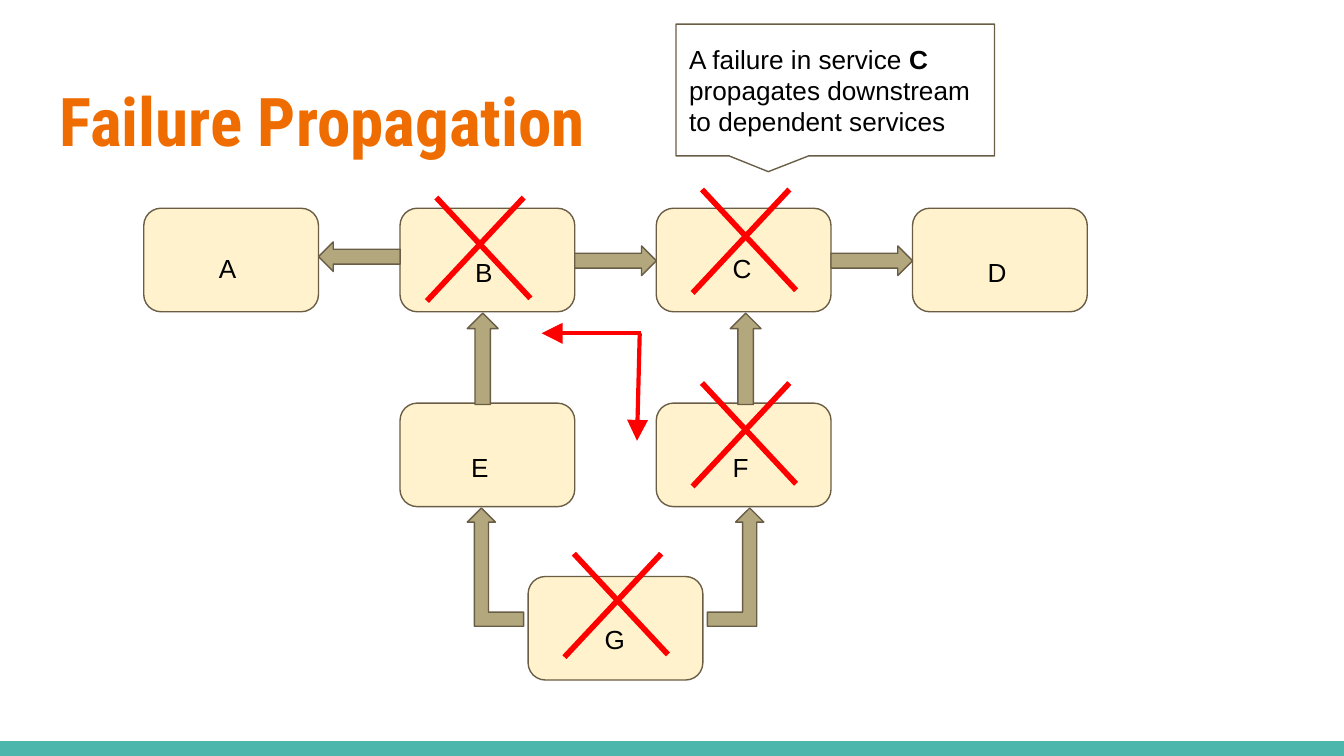
from dataclasses import dataclass

from lxml import etree
from pptx import Presentation
from pptx import util as u
from pptx.dml.color import RGBColor
from pptx.enum import shapes, text
from pptx.oxml import ns

KIND = shapes.MSO_SHAPE


@dataclass(frozen=True)
class Theme:
    title: str = "EF6C00"
    bar: str = "4DB6AC"
    box: str = "FFF2CC"
    arrow: str = "B3A77D"
    edge: str = "695D46"
    fail: str = "FF0000"
    ink: str = "000000"
    head: str = "Roboto Condensed"
    body: str = "Arial"
    big: int = 36
    small: int = 14
    thin: float = 0.75
    mid: float = 2.25
    thick: float = 3


T = Theme()
WIDE = 10
HIGH = WIDE * 9 / 16
BOX_W, BOX_H = 1.3, 0.77
LEFT, RIGHT = 1.07, 6.79
STEP = (RIGHT - LEFT) / 3
GAP = STEP - BOX_W
ROWS = (1.55, 3, 4.29)
SERVICES = {
    "A": (0, 0, 0.46, 0.23),
    "B": (1, 0, 0.46, 0.26),
    "C": (2, 0, 0.47, 0.23),
    "D": (3, 0, 0.46, 0.26),
    "E": (1, 1, 0.43, 0.26),
    "F": (2, 1, 0.47, 0.26),
    "G": (1.5, 2, 0.47, 0.25),
}
FAILED = {"C": (0.27, -0.14), "F": (0.27, -0.15),
          "G": (0.27, -0.17), "B": (0.2, -0.08)}


def rgb(tone):
    return RGBColor.from_string(tone)


def cell(col, row, dx=0, dy=0):
    return LEFT + col * STEP + dx, ROWS[row] + dy


def inch(*vals):
    return [u.Inches(v) for v in vals]


def add_run(para, words, size, font, tone, bold=False):
    run = para.add_run()
    run.text = words
    run.font.size = u.Pt(size)
    run.font.name = font
    run.font.bold = bold
    run.font.color.rgb = rgb(tone)


def set_frame(frame, anchor):
    frame.word_wrap = True
    frame.auto_size = text.MSO_AUTO_SIZE.NONE
    frame.vertical_anchor = anchor
    frame.margin_left = frame.margin_right = u.Inches(0.1)
    frame.margin_top = frame.margin_bottom = u.Inches(0.1)
    para = frame.paragraphs[0]
    para.alignment = text.PP_ALIGN.LEFT
    return para


def add_form(slide, kind, place, fill=None, edge=T.edge, adj=()):
    form = slide.shapes.add_shape(kind, *inch(*place))
    form.shadow.inherit = False
    if fill:
        form.fill.solid()
        form.fill.fore_color.rgb = rgb(fill)
    else:
        form.fill.background()
    if edge:
        form.line.color.rgb = rgb(edge)
        form.line.width = u.Pt(T.thin)
    else:
        form.line.fill.background()
    for i, value in enumerate(adj):
        form.adjustments[i] = value
    return form


def add_line(slide, start, end, width, arrow=False):
    line = slide.shapes.add_connector(
        shapes.MSO_CONNECTOR.STRAIGHT, *inch(*start, *end))
    line.line.color.rgb = rgb(T.fail)
    line.line.width = u.Pt(width)
    if arrow:
        etree.SubElement(line.line._get_or_add_ln(), ns.qn("a:tailEnd"),
                         type="triangle", w="lg", len="lg")
    etree.SubElement(line._element.spPr, ns.qn("a:effectLst"))


def add_title(slide):
    title = slide.shapes.title
    title.left, title.top, title.width, title.height = inch(
        0.34, 0.49, WIDE - 0.68, 0.77)
    para = set_frame(title.text_frame, text.MSO_ANCHOR.TOP)
    add_run(para, "Failure Propagation", T.big, T.head, T.title, True)


def add_flow(slide):
    for col, dx in ((2, 0.38), (1, 0.5)):
        bent = add_form(slide, KIND.BENT_UP_ARROW,
                        (*cell(col, 1, dx, BOX_H + 0.01), 0.42, 0.88), T.arrow)
        if col == 1:
            bent._element.spPr.xfrm.set("flipH", "1")
    for col, kind, dy in ((0, KIND.LEFT_ARROW, 0.25),
                          (1, KIND.RIGHT_ARROW, 0.28),
                          (2, KIND.RIGHT_ARROW, 0.28)):
        add_form(slide, kind, (*cell(col, 0, BOX_W, dy), GAP, 0.22), T.arrow)
    for col, dx in ((1, 0.5), (2, 0.55)):
        add_form(slide, KIND.UP_ARROW,
                 (*cell(col, 0, dx, BOX_H + 0.01), 0.23, 0.68), T.arrow)


def add_label(slide, name, place):
    label = slide.shapes.add_textbox(*inch(*place, 0.37, 0.26))
    para = set_frame(label.text_frame, text.MSO_ANCHOR.TOP)
    add_run(para, name, T.small, T.body, T.ink)


def add_cross(slide, x, y):
    add_line(slide, (x, y + 0.77), (x + 0.72, y), T.thick)
    add_line(slide, (x + 0.07, y), (x + 0.77, y + 0.75), T.thick)


def add_note(slide):
    note = add_form(slide, KIND.RECTANGULAR_CALLOUT, (5.03, 0.18, 2.37, 0.98),
                    adj=(-0.21, 0.62))
    para = set_frame(note.text_frame, text.MSO_ANCHOR.MIDDLE)
    for words, bold in (("A failure in service ", False), ("C", True),
                        (" propagates downstream to dependent services", False)):
        add_run(para, words, T.small, T.body, T.ink, bold)


def main():
    deck = Presentation()
    deck.slide_width, deck.slide_height = inch(WIDE, HIGH)
    slide = deck.slides.add_slide(deck.slide_layouts[5])
    add_title(slide)
    add_form(slide, KIND.RECTANGLE, (0, HIGH - 0.11, WIDE, 0.11), T.bar, None)
    for col, row, _, _ in SERVICES.values():
        add_form(slide, KIND.ROUNDED_RECTANGLE,
                 (*cell(col, row), BOX_W, BOX_H), T.box, adj=(1 / 6,))
    add_flow(slide)
    for name, spot in SERVICES.items():
        add_label(slide, name, cell(*spot))
    for name, shift in FAILED.items():
        add_cross(slide, *cell(*SERVICES[name][:2], *shift))
    add_note(slide)
    add_line(slide, (4.76, 2.48), (4.74, 3.28), T.mid, True)
    add_line(slide, (4.77, 2.48), (4.03, 2.48), T.mid, True)
    deck.save("out.pptx")


if __name__ == "__main__":
    main()
